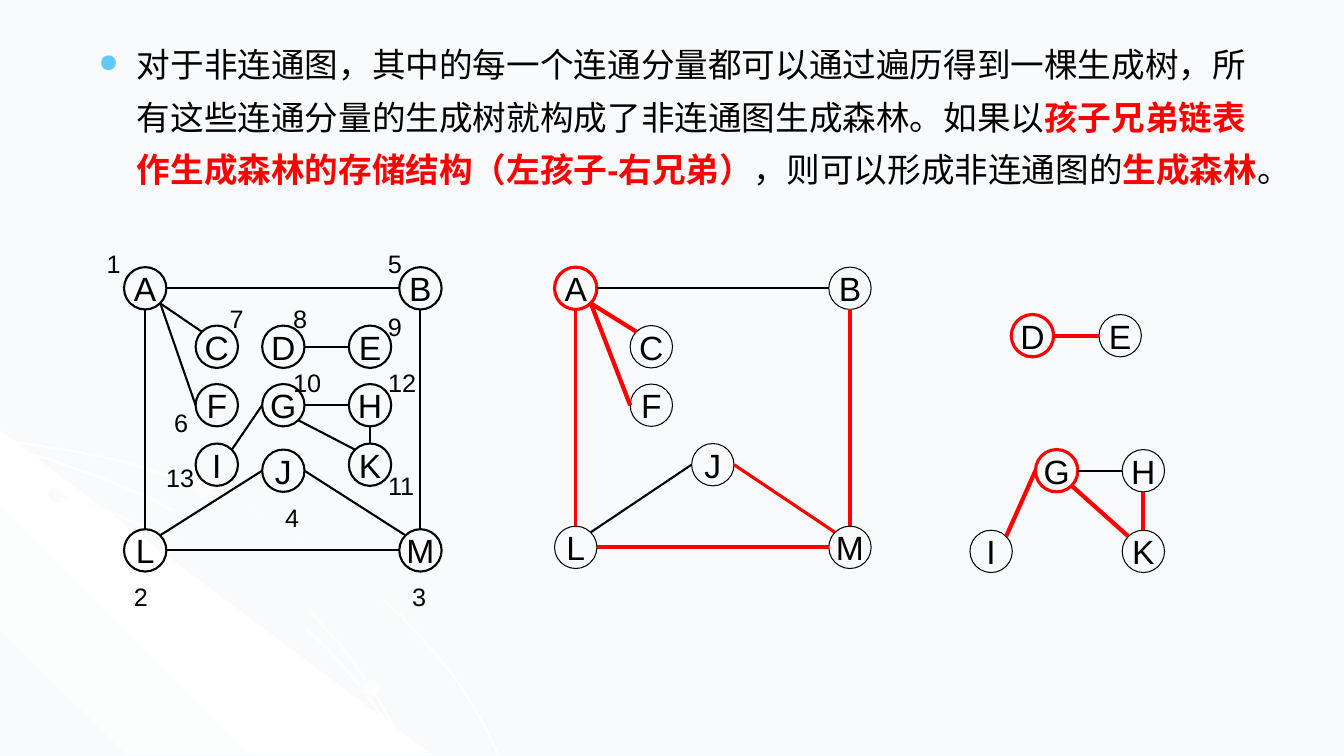
"""Build the slide on spanning forests of a disconnected graph."""
from copy import deepcopy

from lxml import etree
from pptx import Presentation
from pptx.dml.color import RGBColor
from pptx.enum.shapes import MSO_CONNECTOR, MSO_SHAPE
from pptx.enum.text import MSO_ANCHOR, PP_ALIGN
from pptx.oxml.ns import qn
from pptx.util import Emu, Pt

LINE, OVAL = MSO_CONNECTOR.STRAIGHT, MSO_SHAPE.OVAL
CENTER, LEFT = PP_ALIGN.CENTER, PP_ALIGN.LEFT
MIDDLE, TOP = MSO_ANCHOR.MIDDLE, MSO_ANCHOR.TOP
BLACK = RGBColor(0x00, 0x00, 0x00)
RED = RGBColor(0xFF, 0x00, 0x00)
WHITE = RGBColor(0xFF, 0xFF, 0xFF)
MIST = RGBColor(0xF9, 0xFA, 0xFB)
PX = 9144
RADIUS = 21
DIAGONAL = 15

prs = Presentation()
prs.slide_width, prs.slide_height = Emu(1333 * PX), Emu(750 * PX)
s = prs.slides.add_slide(prs.slide_layouts[6])
s.background.fill.solid()
s.background.fill.fore_color.rgb = MIST


def shade(sp, angle, colors):
    """Fill a borderless shape with evenly spaced gradient stops."""
    sp.shadow.inherit = False
    sp.line.fill.background()
    sp.fill.gradient()
    sp.fill.gradient_angle = angle
    stops = sp._element.spPr.find(".//" + qn("a:gsLst"))
    if len(colors) == 3:
        stops.append(deepcopy(stops[0]))
    for i, (stop, color) in enumerate(zip(sp.fill.gradient_stops, colors)):
        stop.color.rgb = color
        stop.position = i / (len(colors) - 1)


def write(sp, text, size, align, anchor, inset):
    """Put one unwrapped line of text into a shape."""
    tf = sp.text_frame
    tf.word_wrap = False
    tf.vertical_anchor = anchor
    tf.margin_left = tf.margin_right = Emu(inset * PX)
    tf.margin_top = tf.margin_bottom = Emu(inset // 2 * PX)
    p = tf.paragraphs[0]
    p.alignment = align
    r = p.add_run()
    r.text = text
    r.font.name, r.font.size, r.font.color.rgb = "Arial", Pt(size), BLACK


upper_arc = [
    (76, 447), (37, 441), (0, 435), (0, 438), (37, 443), (75, 449), (129, 461),
    (180, 478), (231, 499), (278, 523), (321, 549), (361, 579), (397, 612),
    (431, 649), (450, 673), (467, 698), (481, 723), (493, 749), (496, 749),
    (483, 723), (469, 698), (453, 673), (433, 648), (400, 611), (363, 578),
    (322, 548), (279, 521), (232, 497), (182, 477), (131, 459)]
corner = [(429, 749), (0, 749), (0, 427)]
lower_arc = [
    (380, 714), (392, 732), (401, 749), (404, 749), (394, 730), (382, 712),
    (355, 676), (323, 640), (286, 606), (246, 576), (203, 549), (156, 526),
    (105, 505), (54, 488), (0, 475), (0, 477), (51, 490), (103, 507),
    (153, 528), (200, 551), (244, 578), (284, 608), (321, 641), (353, 677)]
middle_arc = [
    (0, 442), (0, 444), (49, 457), (99, 475), (146, 494), (189, 518),
    (231, 544), (269, 575), (303, 605), (337, 641), (356, 667), (374, 694),
    (389, 722), (401, 749), (404, 749), (391, 720), (376, 693), (358, 665),
    (339, 639), (306, 603), (272, 573), (233, 543), (191, 516), (149, 493),
    (101, 473), (51, 455)]
for outline, angle, colors in [
        (upper_arc, 315, (WHITE, MIST, WHITE)),
        (corner, 45, (MIST, WHITE, MIST)),
        (lower_arc, 315, (WHITE, MIST, WHITE)),
        (middle_arc, 315, (WHITE, MIST, WHITE))]:
    builder = s.shapes.build_freeform(*outline[0], scale=PX)
    builder.add_line_segments(outline[1:], close=True)
    shade(builder.convert_to_shape(), angle, colors)
for x, y, w, h, angle in [(48, 483, 20, 15, 45), (356, 674, 21, 16, 315),
                          (183, 473, 28, 21, 45)]:
    sp = s.shapes.add_shape(OVAL, *(Emu(v * PX) for v in (x, y, w, h)))
    shade(sp, angle, (MIST, WHITE))

sp = s.shapes.add_textbox(*(Emu(v * PX) for v in (88, 27, 1184, 167)))
tf = sp.text_frame
tf.word_wrap = True
p = tf.paragraphs[0]
p.line_spacing = 1.3
pPr = p._p.get_or_add_pPr()
pPr.set("marL", str(38 * PX))
pPr.set("indent", str(-38 * PX))
bullet_color = etree.SubElement(pPr, qn("a:buClr"))
etree.SubElement(bullet_color, qn("a:srgbClr"), val="5FCBFB")
etree.SubElement(pPr, qn("a:buSzPct"), val="75000")
etree.SubElement(pPr, qn("a:buChar"), char="●")
for text, strong in [
        ("对于非连通图，其中的每一个连通分量都可以通过遍历得到一棵生成树，"
         "所有这些连通分量的生成树就构成了非连通图生成森林。如果以", False),
        ("孩子兄弟链表作生成森林的存储结构（左孩子-右兄弟）", True),
        ("，则可以形成非连通图的", False), ("生成森林", True), ("。", False)]:
    r = p.add_run()
    r.text = text
    for key, value in {"name": "Arial", "size": Pt(24), "bold": strong}.items():
        setattr(r.font, key, value)
    r.font.color.rgb = RED if strong else BLACK

SIDES = {"N": (0, -RADIUS), "S": (0, RADIUS), "W": (-RADIUS, 0), "E": (RADIUS, 0),
         "NW": (-DIAGONAL, -DIAGONAL), "NE": (DIAGONAL, -DIAGONAL),
         "SW": (-DIAGONAL, DIAGONAL), "SE": (DIAGONAL, DIAGONAL)}
THIN, PLAIN, MEDIUM, THICK = 0.75, 1.5, 2.25, 3
graphs = [
    {"root": None, "outline": PLAIN,
     "nodes": {"A": (144, 286), "B": (417, 286), "L": (144, 546), "M": (417, 546),
               "C": (215, 344), "F": (215, 402), "I": (215, 461), "D": (281, 344),
               "E": (367, 344), "G": (281, 402), "H": (367, 402), "J": (281, 467),
               "K": (367, 461)},
     "edges": [(edge, BLACK, PLAIN) for edge in (
         "A E B W", "A S L N", "L E M W", "M N B S", "L NE J W", "J E M NW",
         "I NE G W", "A SE C NW", "A SE F W", "D E E W", "G E H W", "H S K N",
         "G SE K NW")]},
    {"root": "A", "outline": THIN,
     "nodes": {"A": (571, 286), "B": (843, 286), "L": (571, 543), "M": (843, 543),
               "C": (646, 344), "F": (646, 402), "J": (707, 461)},
     "edges": [("A E B W", BLACK, PLAIN), ("A S L N", RED, MEDIUM),
               ("L E M W", RED, THICK), ("M N B S", RED, THICK),
               ("L NE J W", BLACK, PLAIN), ("J E M NW", RED, MEDIUM),
               ("A SE C NW", RED, THICK), ("A SE F W", RED, THICK)]},
    {"root": "D", "outline": THIN,
     "nodes": {"D": (1024, 333), "E": (1111, 333)},
     "edges": [("D E E W", RED, THICK)]},
    {"root": "G", "outline": THIN,
     "nodes": {"I": (983, 547), "G": (1048, 467), "H": (1134, 467), "K": (1134, 547)},
     "edges": [("I NE G W", RED, THICK), ("G SE K NW", RED, THICK),
               ("H S K N", RED, THICK), ("G E H W", BLACK, PLAIN)]},
]
for graph in graphs:
    nodes = graph["nodes"]
    for name, (x, y) in nodes.items():
        box = (x - RADIUS, y - RADIUS, 2 * RADIUS, 2 * RADIUS)
        sp = s.shapes.add_shape(OVAL, *(Emu(v * PX) for v in box))
        sp.shadow.inherit = False
        sp.fill.background()
        is_root = name == graph["root"]
        sp.line.color.rgb = RED if is_root else BLACK
        sp.line.width = Pt(MEDIUM if is_root else graph["outline"])
        write(sp, name, 24, CENTER, MIDDLE, 0)
    for edge, color, width in graph["edges"]:
        start, start_side, end, end_side = edge.split()
        ends = [at + shift for name, side in ((start, start_side), (end, end_side))
                for at, shift in zip(nodes[name], SIDES[side])]
        line = s.shapes.add_connector(LINE, *(Emu(v * PX) for v in ends))
        line.line.color.rgb, line.line.width = color, Pt(width)
        etree.SubElement(line._element.spPr, qn("a:effectLst"))

visit_order = [(96, 241), (123, 572), (399, 572), (273, 493), (375, 241), (163, 399),
               (218, 296), (281, 296), (375, 304), (281, 359), (375, 462), (375, 359),
               (155, 454)]
for number, (x, y) in enumerate(visit_order, 1):
    width = 34 if number < 10 else 48
    sp = s.shapes.add_textbox(*(Emu(v * PX) for v in (x, y, width, 40)))
    write(sp, str(number), 18, LEFT, TOP, 10)

prs.save("out.pptx")
